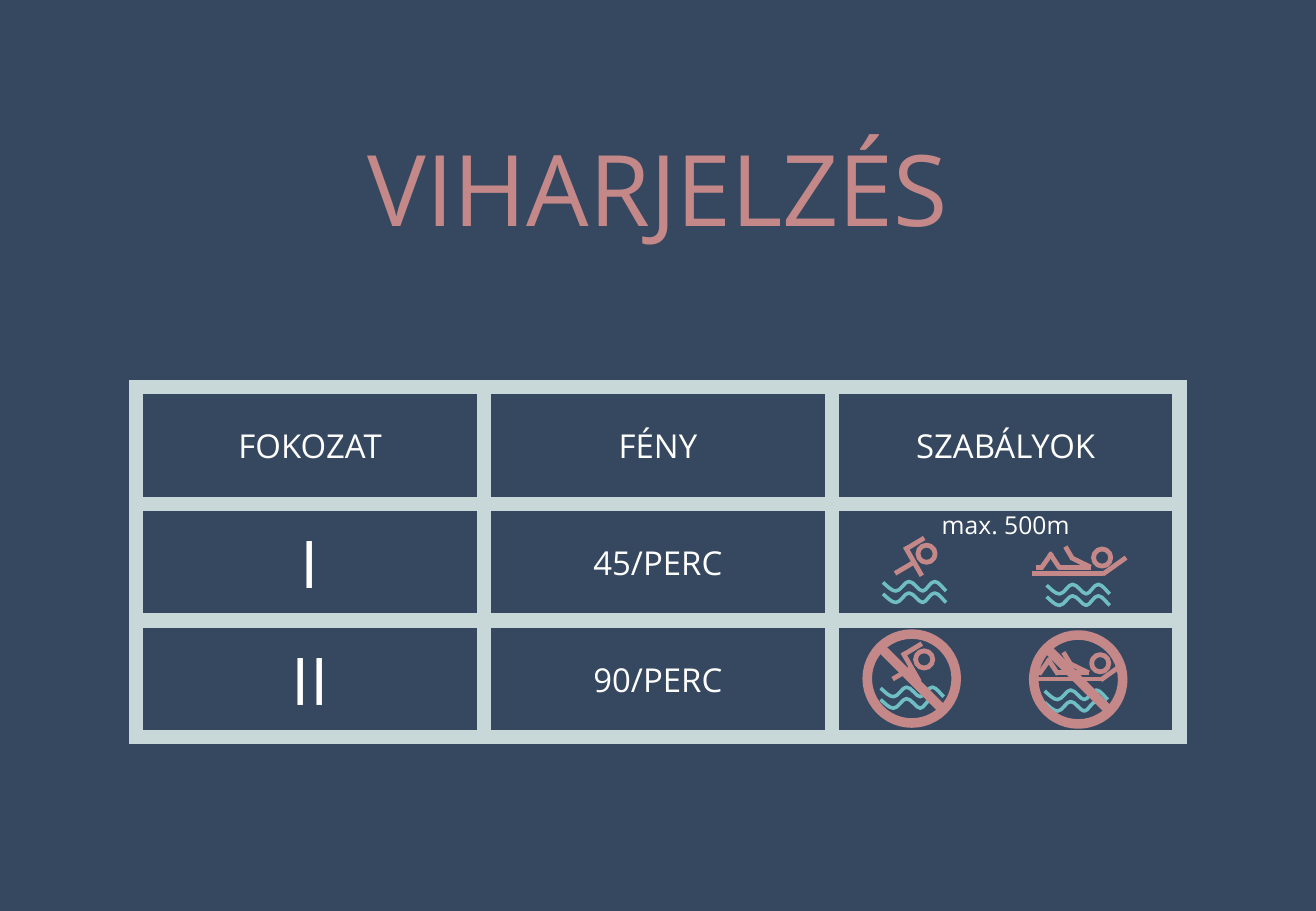
"""Build the storm warning slide: a grid of levels with swimming rules."""
from lxml import etree
from pptx import Presentation
from pptx import util as u
from pptx.dml.color import RGBColor
from pptx.enum import shapes, text
from pptx.oxml.ns import qn

FONT = "Open Sans"
COLORS = {"back": "364860", "rose": "C48888", "frame": "C8D7D7",
          "water": "6EBEC3", "text": "FFFFFF"}
TITLE = "VIHARJELZÉS"
ROWS = [
    [("FOKOZAT", 19.5), ("FÉNY", 19.5), ("SZABÁLYOK", 19.5)],
    [("I", 39), ("45/PERC", 19.5), ("max. 500m", 14.6)],
    [("II", 39), ("90/PERC", 19.5), ("", 14.6)],
]
TOP_ANCHORED = "max. 500m"
PAGE_WIDTH, PAGE_HEIGHT = 27.51, 19.05
GRID_LEFT, GRID_TOP, CELL_WIDTH, CELL_HEIGHT = 2.85, 8.1, 7.27, 2.44
FRAME_WIDTH, FIGURE_WIDTH, WATER_WIDTH, BAN_WIDTH = 8.5, 2.83, 2.13, 5.67
HEAD_RADIUS, BAN_RADIUS, BAN_REACH, WAVE_GAP = 0.18, 0.93, 0.66, 0.24
WAVE = [(0, 0.02), (0.09, 0.1), (0.18, 0.2), (0.27, 0.2), (0.37, 0.2),
        (0.45, 0), (0.54, 0), (0.65, 0), (0.74, 0.2), (0.83, 0.2),
        (0.91, 0.2), (0.98, 0), (1.08, 0), (1.17, 0), (1.28, 0.18), (1.32, 0.2)]
SWIMMER = {
    "limbs": [(0.46, 0.18, 0.81, 0.79), (0.25, 0.74, 0.64, 0.51),
              (0.48, 0.23, 0.86, 0)],
    "head": (0.91, 0.33), "wave": (0, 0.91),
}
FLOATER = {
    "limbs": [(1.96, 0.23, 1.47, 0.58), (0, 0.56, 1.47, 0.56),
              (0.56, 0.43, 1.22, 0.43), (0.08, 0.43, 0.23, 0.43),
              (0.36, 0.13, 0.58, 0.46), (0.41, 0.13, 0.18, 0.46),
              (0.81, 0.23, 1.22, 0.43), (0.69, 0, 0.84, 0.25)],
    "head": (1.46, 0.23), "wave": (0.3, 0.79),
}
ICONS = [(FLOATER, 21.58, 11.43), (SWIMMER, 18.46, 11.25),
         (FLOATER, 21.54, 13.64), (SWIMMER, 18.41, 13.46)]
BANS = [(19.06, 14.19), (22.54, 14.21)]


def color(name):
    return RGBColor.from_string(COLORS[name])


def write(frame, words, size, name):
    para = frame.paragraphs[0]
    para.text = words
    para.alignment = text.PP_ALIGN.CENTER
    para.font.name, para.font.size = FONT, u.Pt(size)
    para.font.color.rgb = color(name)


def outline(shape, name, width):
    shape.line.color.rgb = color(name)
    shape.line.width = u.Pt(width)


def add_hollow(slide, kind, place, name, width):
    shape = slide.shapes.add_shape(kind, *map(u.Cm, place))
    shape.fill.background()
    shape.shadow.inherit = False
    outline(shape, name, width)
    return shape


def add_line(slide, ends, width):
    line = slide.shapes.add_connector(shapes.MSO_CONNECTOR.STRAIGHT, *map(u.Cm, ends))
    outline(line, "rose", width)
    etree.SubElement(line._element.spPr, qn("a:effectLst"))


def add_ring(slide, x, y, radius, width):
    place = (x - radius, y - radius, 2 * radius, 2 * radius)
    add_hollow(slide, shapes.MSO_SHAPE.OVAL, place, "rose", width)


def bend(shape):
    """Turn each three straight segments into one Bezier curve."""
    segments = list(shape._element.iter(qn("a:lnTo")))
    for first in range(0, len(segments), 3):
        curve = etree.Element(qn("a:cubicBezTo"))
        segments[first].addprevious(curve)
        for segment in segments[first:first + 3]:
            curve.append(segment[0])
            segment.getparent().remove(segment)


def add_wave(slide, left, top):
    points = [(u.Cm(left + x), u.Cm(top + y)) for x, y in WAVE]
    builder = slide.shapes.build_freeform(*points[0])
    builder.add_line_segments(points[1:], close=False)
    wave = builder.convert_to_shape()
    bend(wave)
    wave.fill.background()
    wave.shadow.inherit = False
    outline(wave, "water", WATER_WIDTH)


def add_icon(slide, figure, left, top):
    for x1, y1, x2, y2 in figure["limbs"]:
        add_line(slide, (left + x1, top + y1, left + x2, top + y2), FIGURE_WIDTH)
    head_x, head_y = figure["head"]
    add_ring(slide, left + head_x, top + head_y, HEAD_RADIUS, FIGURE_WIDTH)
    wave_x, wave_y = figure["wave"]
    for row in range(2):
        add_wave(slide, left + wave_x, top + wave_y + row * WAVE_GAP)


def add_cell(slide, row, column, words, size):
    place = (GRID_LEFT + column * CELL_WIDTH, GRID_TOP + row * CELL_HEIGHT,
             CELL_WIDTH, CELL_HEIGHT)
    cell = add_hollow(slide, shapes.MSO_SHAPE.RECTANGLE, place, "frame", FRAME_WIDTH)
    etree.SubElement(cell.line._get_or_add_ln(), qn("a:miter"), lim="800000")
    if words:
        write(cell.text_frame, words, size, "text")
        anchors = text.MSO_ANCHOR
        cell.text_frame.vertical_anchor = (
            anchors.TOP if words == TOP_ANCHORED else anchors.MIDDLE)


deck = Presentation()
deck.slide_width, deck.slide_height = u.Cm(PAGE_WIDTH), u.Cm(PAGE_HEIGHT)
page = deck.slides.add_slide(deck.slide_layouts[6])

backdrop = page.shapes.add_shape(
    shapes.MSO_SHAPE.RECTANGLE, 0, 0, deck.slide_width, deck.slide_height)
backdrop.fill.solid()
backdrop.fill.fore_color.rgb = color("back")
backdrop.line.fill.background()
backdrop.shadow.inherit = False

box = page.shapes.add_textbox(u.Cm(7.09), u.Cm(2.55), u.Cm(13.34), u.Cm(2.77))
box.text_frame.word_wrap = True
write(box.text_frame, TITLE, 58.5, "rose")

for row, entries in enumerate(ROWS):
    for column, (words, size) in enumerate(entries):
        add_cell(page, row, column, words, size)
for icon in ICONS:
    add_icon(page, *icon)
for x, y in BANS:
    add_ring(page, x, y, BAN_RADIUS, BAN_WIDTH)
    add_line(page, (x - BAN_REACH, y - BAN_REACH, x + BAN_REACH, y + BAN_REACH), BAN_WIDTH)

deck.save("out.pptx")
